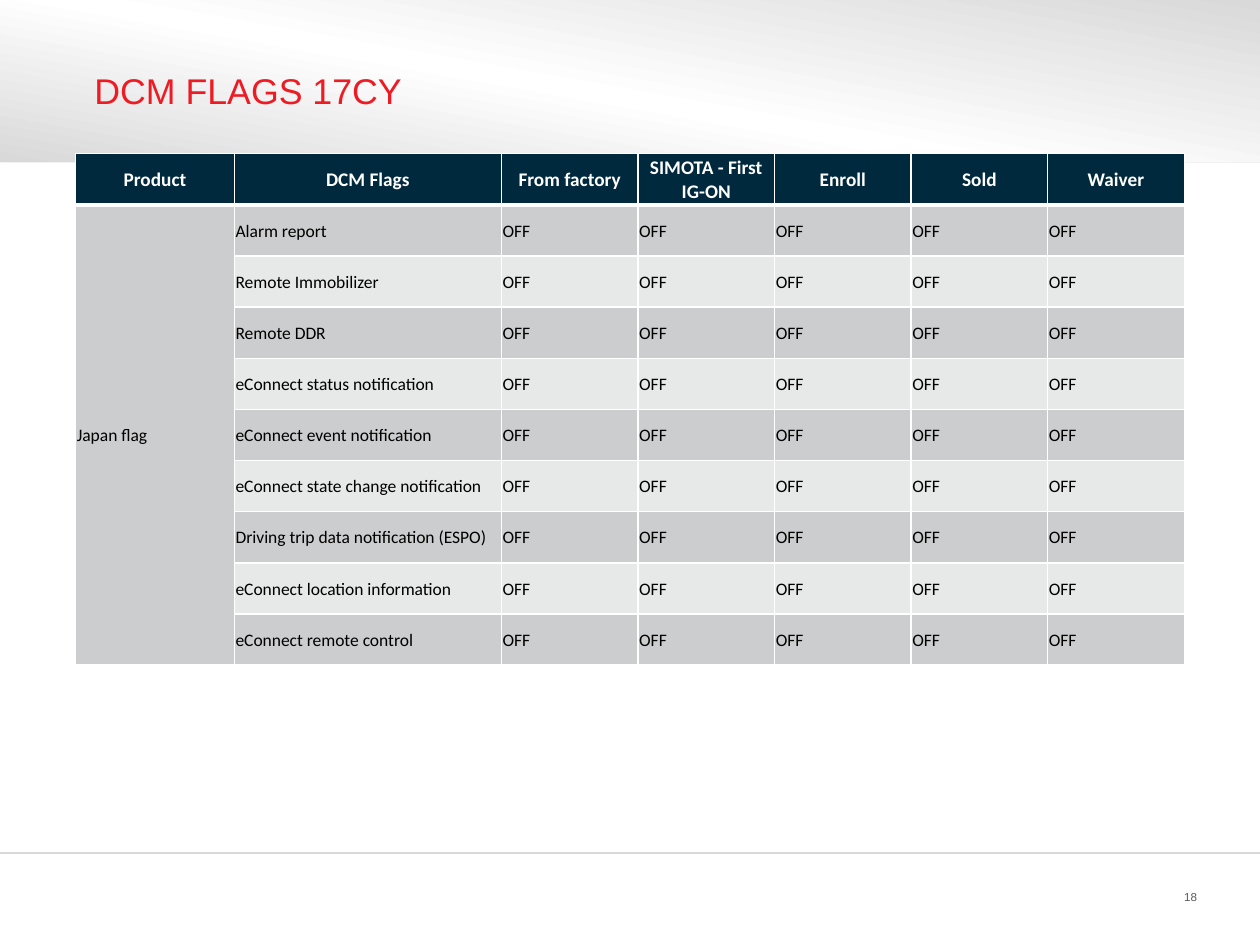
from copy import deepcopy
from dataclasses import dataclass

from lxml import etree
from pptx import Presentation
from pptx.dml.color import RGBColor
from pptx.enum import shapes, text
from pptx.oxml import ns
from pptx.util import Inches, Pt


@dataclass(frozen=True)
class Theme:
    red: str = "ED1C24"
    navy: str = "00293E"
    white: str = "FFFFFF"
    black: str = "000000"
    odd_row: str = "CCCDCE"
    even_row: str = "E7E8E8"
    silver: str = "D9D9D9"
    pale: str = "F2F2F2"
    slate: str = "58595B"
    title_size: float = 20.4
    header_size: float = 11
    body_size: float = 10
    number_size: float = 6.6


theme = Theme()


def write(frame, words, size, color, font, bold=False, align=text.PP_ALIGN.LEFT):
    paragraph = frame.paragraphs[0]
    paragraph.alignment = align
    run = paragraph.add_run()
    run.text = words
    run.font.name, run.font.size, run.font.bold = font, Pt(size), bold
    run.font.color.rgb = RGBColor.from_string(color)


def add_border(cell, side, width):
    """Draw a white border on one side (L, R, T or B); call before filling the cell."""
    properties = cell._tc.get_or_add_tcPr()
    border = etree.SubElement(properties, ns.qn(f"a:ln{side}"), w=str(Pt(width)))
    solid = etree.SubElement(border, ns.qn("a:solidFill"))
    etree.SubElement(solid, ns.qn("a:srgbClr"), val=theme.white)


presentation = Presentation()
presentation.slide_width, presentation.slide_height = Inches(10), Inches(7.5)
slide = presentation.slides.add_slide(presentation.slide_layouts[6])

# Header band and horizontal rules
band = slide.shapes.add_shape(
    shapes.MSO_SHAPE.RECTANGLE, 0, 0, Inches(10), Inches(1.28))
band.shadow.inherit = False
band.line.fill.background()
band.fill.gradient()
band.fill.gradient_angle = 260
last_stop = band.fill.gradient_stops[1]._gs
last_stop.addprevious(deepcopy(last_stop))
band_stops = [(0, theme.silver), (0.55, theme.white), (1, theme.silver)]
for stop, (position, color) in zip(band.fill.gradient_stops, band_stops):
    stop.position = position
    stop.color.rgb = RGBColor.from_string(color)

for y, color in [(6.77, theme.silver), (1.29, theme.pale)]:
    rule = slide.shapes.add_connector(
        shapes.MSO_CONNECTOR.STRAIGHT, 0, Inches(y), Inches(10), Inches(y))
    rule.line.width = Pt(1)
    rule.line.color.rgb = RGBColor.from_string(color)
    etree.SubElement(rule._element.spPr, ns.qn("a:effectLst"))

# Title and page number
for words, place, inset, size, color, align in [
    ("18", (8.92, 7.01, 0.58, 0.22), 0,
     theme.number_size, theme.slate, text.PP_ALIGN.RIGHT),
    ("DCM FLAGS 17CY", (0.6, 0.15, 8.8, 1.13), 0.15,
     theme.title_size, theme.red, text.PP_ALIGN.LEFT),
]:
    frame = slide.shapes.add_textbox(*map(Inches, place)).text_frame
    frame.word_wrap = True
    frame.vertical_anchor = text.MSO_ANCHOR.MIDDLE
    frame.margin_left = frame.margin_right = Inches(inset)
    frame.margin_top = frame.margin_bottom = 0
    write(frame, words, size, color, "Arial", align=align)

# Flag table
headings = ["Product", "DCM Flags", "From factory", "SIMOTA - First IG-ON",
            "Enroll", "Sold", "Waiver"]
flags = ["Alarm report", "Remote Immobilizer", "Remote DDR",
         "eConnect status notification", "eConnect event notification",
         "eConnect state change notification",
         "Driving trip data notification (ESPO)",
         "eConnect location information", "eConnect remote control"]
stages = len(headings) - 2
rows = [headings] + [["", flag] + ["OFF"] * stages for flag in flags]
rows[1][0] = "Japan flag"

table_width, product_width, flag_width = 8.8, 1.26, 2.12
stage_width = (table_width - product_width - flag_width) / stages
flag_table = slide.shapes.add_table(
    len(rows), len(headings),
    Inches(0.6), Inches(1.22), Inches(table_width), Inches(4.06)).table
for column, width in zip(flag_table.columns,
                         [product_width, flag_width] + [stage_width] * stages):
    column.width = Inches(width)
flag_table.cell(1, 0).merge(flag_table.cell(len(flags), 0))

for r, row in enumerate(rows):
    is_header = r == 0
    row_fill = theme.navy if is_header else theme.odd_row if r % 2 else theme.even_row
    for c, words in enumerate(row):
        cell = flag_table.cell(r, c)
        for side in "LRTB":
            thick = (is_header and side == "B") or (r == 1 and side == "T")
            add_border(cell, side, 3 if thick else 1)
        cell.fill.solid()
        cell.fill.fore_color.rgb = RGBColor.from_string(
            theme.odd_row if c == 0 and not is_header else row_fill)
        cell.vertical_anchor = text.MSO_ANCHOR.MIDDLE
        cell.margin_left = cell.margin_right = cell.margin_top = Inches(0.01)
        cell.margin_bottom = 0
        if is_header:
            write(cell.text_frame, words, theme.header_size, theme.white,
                  "Calibri", bold=True, align=text.PP_ALIGN.CENTER)
        elif words:
            write(cell.text_frame, words, theme.body_size, theme.black, "Calibri")

presentation.save("out.pptx")
